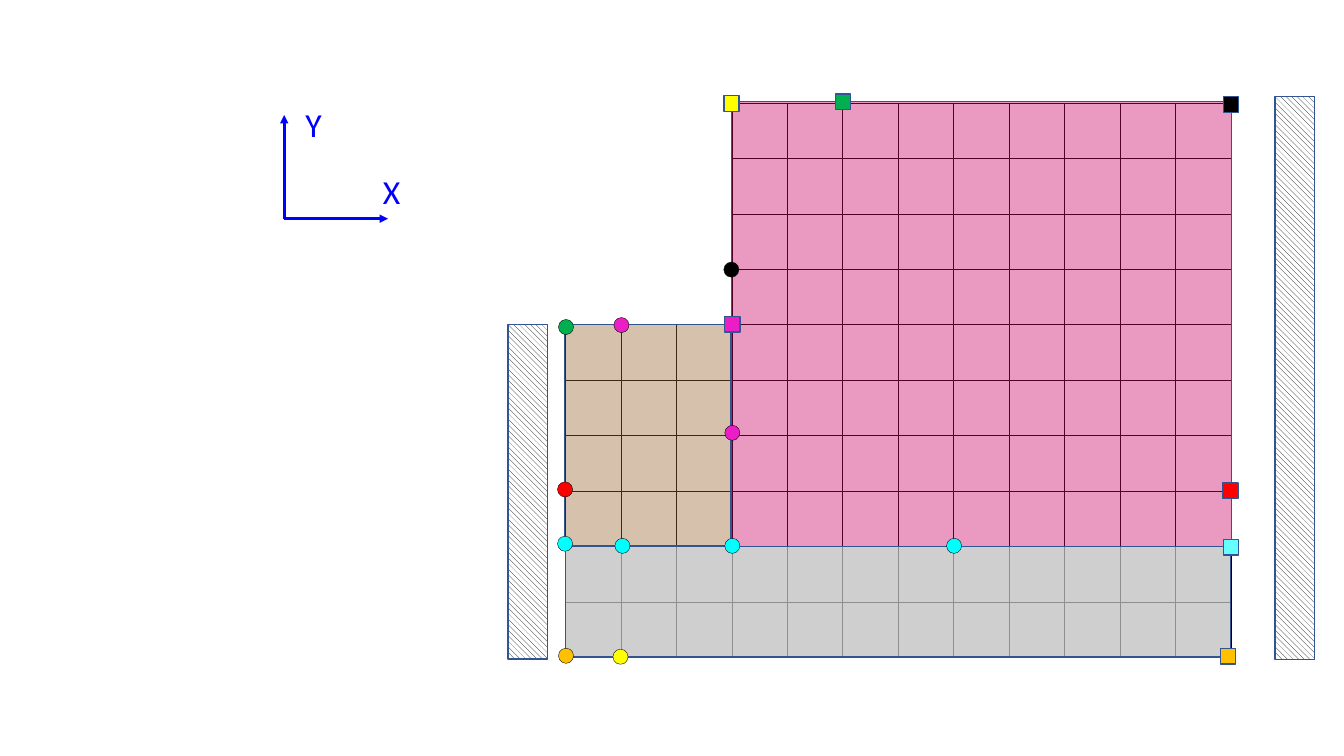
from dataclasses import dataclass

from lxml.etree import SubElement
from pptx import Presentation
from pptx.dml.color import RGBColor
from pptx.enum.dml import MSO_PATTERN
from pptx.enum.shapes import MSO_CONNECTOR, MSO_SHAPE
from pptx.enum.text import MSO_AUTO_SIZE
from pptx.oxml.ns import qn
from pptx.shapes.autoshape import Shape
from pptx.util import Pt


@dataclass(frozen=True)
class Theme:
    black: str = "000000"
    white: str = "FFFFFF"
    outline: str = "325491"
    axis: str = "0000FF"
    gray: str = "BFBFBF"
    brown: str = "996633"
    pink: str = "CC0066"
    cyan: str = "00FFFF"
    pale_cyan: str = "66FFFF"
    red: str = "FF0000"
    orange: str = "FFC000"
    green: str = "00B050"
    yellow: str = "FFFF00"
    magenta: str = "EB1DC4"
    font: str = "Calibri"
    label_size: float = 24
    thin: float = 0.25
    medium: float = 1
    thick: float = 2


@dataclass(frozen=True)
class Box:
    left: float
    top: float
    width: float
    height: float


@dataclass(frozen=True)
class MeshBlock:
    columns: range
    rows: range


@dataclass(frozen=True)
class Region:
    box: Box
    color: str
    opacity: int


@dataclass(frozen=True)
class Marker:
    left: float
    top: float
    color: str


@dataclass(frozen=True)
class Axis:
    label: str
    end: tuple[float, float]
    label_box: Box


THEME = Theme()
CELL = 39.6
MESH_LEFT, MESH_TOP = 403.9, 73.5
AXIS_ORIGIN = (203, 156.2)

LEFT_MESH = MeshBlock(range(3), range(4, 10))
RIGHT_MESH = [MeshBlock(range(3, 12), range(top, top + 2)) for top in range(0, 10, 2)]

REGIONS = [
    Region(Box(403.9, 390.2, 475.2, 79.2), THEME.gray, 75),
    Region(Box(403.2, 231.8, 118.8, 158.4), THEME.brown, 40),
    Region(Box(522.7, 72.7, 357.1, 317.5), THEME.pink, 40),
]
CIRCLES = [
    Marker(398.2, 383, THEME.cyan),
    Marker(398.2, 344.2, THEME.red),
    Marker(398.9, 463, THEME.orange),
    Marker(398.9, 228.2, THEME.green),
    Marker(517, 187.2, THEME.black),
    Marker(437.8, 463.7, THEME.yellow),
    Marker(438.5, 226.8, THEME.magenta),
    Marker(439.2, 384.5, THEME.cyan),
    Marker(517.7, 384.5, THEME.cyan),
    Marker(676.1, 384.5, THEME.cyan),
    Marker(517.7, 303.8, THEME.magenta),
]
SQUARES = [
    Marker(517, 68.4, THEME.yellow),
    Marker(596.9, 67, THEME.green),
    Marker(873.4, 344.9, THEME.red),
    Marker(517.7, 226.1, THEME.magenta),
    Marker(874.1, 69.1, THEME.black),
    Marker(871.9, 463, THEME.orange),
    Marker(874.1, 385.2, THEME.pale_cyan),
]
WALLS = [Box(362.9, 231.8, 28.1, 239), Box(910.8, 69.1, 28.1, 401.8)]
AXES = [
    Axis("X", (277.2, 156.2), Box(266.4, 118.8, 27.4, 36)),
    Axis("Y", (203, 82.1), Box(211, 70.6, 27.4, 36)),
]


def rgb(color: str) -> RGBColor:
    return RGBColor.from_string(color)


def add_outlined(shapes, kind: MSO_SHAPE, box: Box, line: str, weight: float) -> Shape:
    """Add an unfilled preset shape with a plain outline."""
    shape = shapes.add_shape(kind, Pt(box.left), Pt(box.top), Pt(box.width), Pt(box.height))
    shape.shadow.inherit = False
    shape.fill.background()
    shape.line.color.rgb = rgb(line)
    shape.line.width = Pt(weight)
    return shape


def fill_solid(shape: Shape, color: str, opacity: int = 100) -> None:
    shape.fill.solid()
    shape.fill.fore_color.rgb = rgb(color)
    if opacity < 100:
        color_element = shape.fill._xPr.find(qn("a:solidFill"))[0]
        SubElement(color_element, qn("a:alpha"), val=str(opacity * 1000))


def draw_mesh(shapes, block: MeshBlock) -> None:
    for row in block.rows:
        for column in block.columns:
            cell = Box(MESH_LEFT + column * CELL, MESH_TOP + row * CELL, CELL, CELL)
            add_outlined(shapes, MSO_SHAPE.RECTANGLE, cell, THEME.black, THEME.thin)


def draw_region(shapes, region: Region) -> None:
    area = add_outlined(shapes, MSO_SHAPE.RECTANGLE, region.box, THEME.outline, THEME.medium)
    fill_solid(area, region.color, region.opacity)


def draw_circle(shapes, marker: Marker) -> None:
    box = Box(marker.left, marker.top, 10.8, 10.8)
    fill_solid(add_outlined(shapes, MSO_SHAPE.OVAL, box, THEME.black, THEME.thin), marker.color)


def draw_square(shapes, marker: Marker) -> None:
    box = Box(marker.left, marker.top, 10.8, 11.2)
    fill_solid(add_outlined(shapes, MSO_SHAPE.RECTANGLE, box, THEME.outline, THEME.medium), marker.color)


def draw_wall(shapes, box: Box) -> None:
    wall = add_outlined(shapes, MSO_SHAPE.RECTANGLE, box, THEME.outline, THEME.medium)
    wall.fill.patterned()
    wall.fill.pattern = MSO_PATTERN.WIDE_DOWNWARD_DIAGONAL
    wall.fill.fore_color.rgb = rgb(THEME.black)
    wall.fill.back_color.rgb = rgb(THEME.white)


def draw_axis(shapes, axis: Axis) -> None:
    start_x, start_y = AXIS_ORIGIN
    end_x, end_y = axis.end
    arrow = shapes.add_connector(MSO_CONNECTOR.STRAIGHT, Pt(start_x), Pt(start_y), Pt(end_x), Pt(end_y))
    arrow.line.color.rgb = rgb(THEME.axis)
    arrow.line.width = Pt(THEME.thick)
    SubElement(arrow.line._get_or_add_ln(), qn("a:tailEnd"), type="triangle")
    SubElement(arrow._element.spPr, qn("a:effectLst"))

    box = axis.label_box
    label = shapes.add_textbox(Pt(box.left), Pt(box.top), Pt(box.width), Pt(box.height))
    label.text_frame.word_wrap = False
    label.text_frame.auto_size = MSO_AUTO_SIZE.SHAPE_TO_FIT_TEXT
    label.text_frame.text = axis.label
    font = label.text_frame.paragraphs[0].runs[0].font
    font.name = THEME.font
    font.size = Pt(THEME.label_size)
    font.color.rgb = rgb(THEME.axis)


def main() -> None:
    presentation = Presentation()
    presentation.slide_width, presentation.slide_height = Pt(960), Pt(540)
    shapes = presentation.slides.add_slide(presentation.slide_layouts[6]).shapes

    draw_mesh(shapes, LEFT_MESH)
    for block in RIGHT_MESH:
        draw_mesh(shapes.add_group_shape().shapes, block)
    for draw, parts in (
        (draw_region, REGIONS),
        (draw_circle, CIRCLES),
        (draw_square, SQUARES),
        (draw_wall, WALLS),
    ):
        for part in parts:
            draw(shapes, part)
    axis_shapes = shapes.add_group_shape().shapes
    for axis in AXES:
        draw_axis(axis_shapes, axis)

    presentation.save("out.pptx")


if __name__ == "__main__":
    main()
